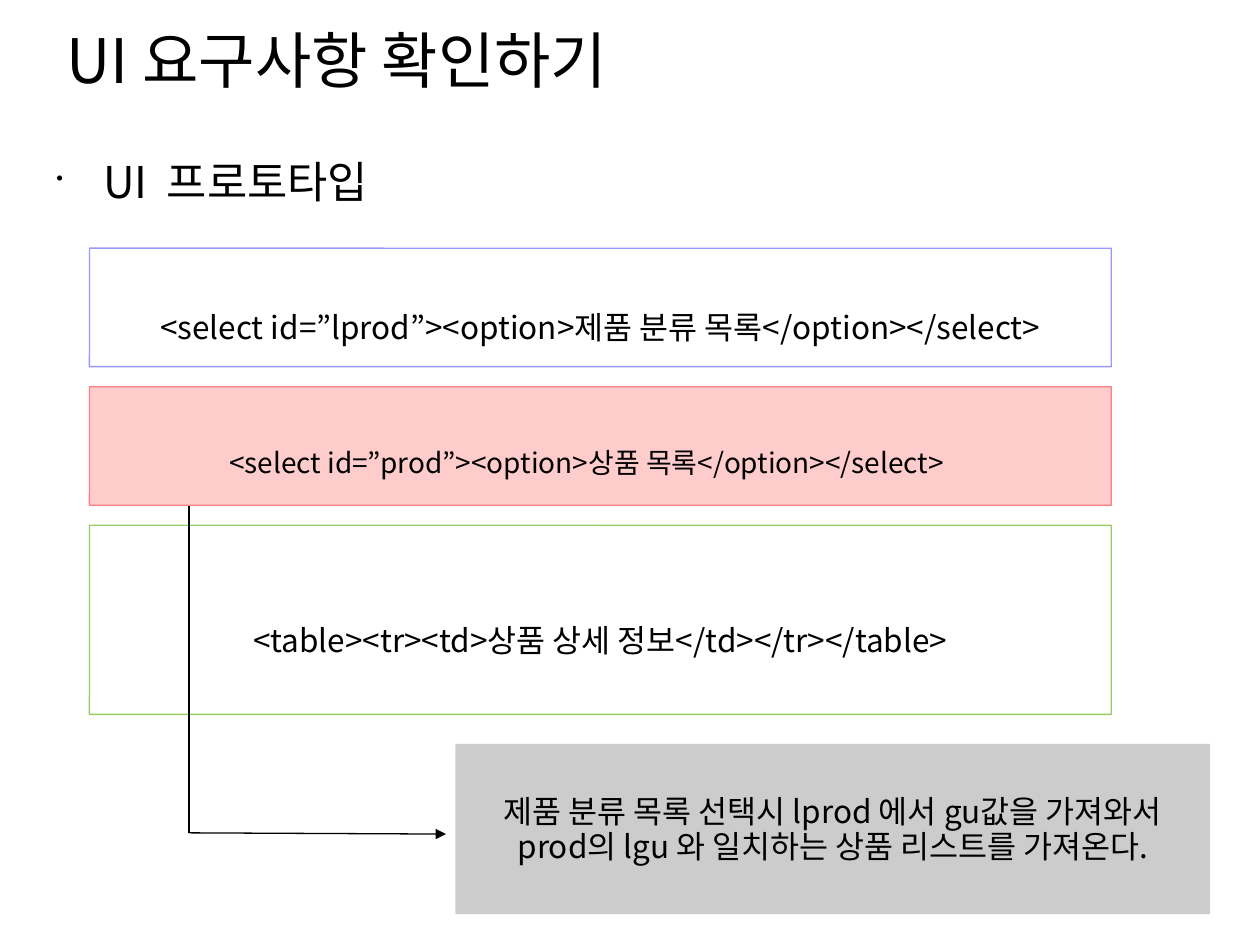
from lxml import etree
from pptx import Presentation
from pptx.dml.color import RGBColor
from pptx.enum.shapes import MSO_CONNECTOR, MSO_SHAPE
from pptx.enum.text import MSO_ANCHOR, PP_ALIGN
from pptx.oxml.ns import qn
from pptx.util import Inches, Pt

FONT = "Noto Sans CJK KR"
ROUNDED = MSO_SHAPE.ROUNDED_RECTANGLE
STRAIGHT = MSO_CONNECTOR.STRAIGHT
LEFT, CENTER = PP_ALIGN.LEFT, PP_ALIGN.CENTER
TOP, MIDDLE = MSO_ANCHOR.TOP, MSO_ANCHOR.MIDDLE


def color(value):
    return RGBColor.from_string(value)


def write(shape, text, size=18, align=CENTER, anchor=MIDDLE, top=0.07, spacing=0.92, wrap=True):
    frame = shape.text_frame
    frame.word_wrap = wrap
    frame.vertical_anchor = anchor
    frame.margin_left = frame.margin_right = Inches(0.1)
    frame.margin_top, frame.margin_bottom = Inches(top), Inches(0.05)
    frame.text = text
    for paragraph in frame.paragraphs:
        paragraph.alignment = align
        paragraph.line_spacing = spacing
        for run in paragraph.runs:
            run.font.size = Pt(size)
            run.font.name = FONT
            run.font.color.rgb = color("000000")
            etree.SubElement(run.font._element, qn("a:ea"), typeface=FONT)
    return frame.paragraphs[0]


prs = Presentation()
prs.slide_width, prs.slide_height = Inches(10), Inches(7.5)
slide = prs.slides.add_slide(prs.slide_layouts[6])
shapes = slide.shapes

title = shapes.add_textbox(Inches(0.43), Inches(0.13), Inches(8.38), Inches(0.87))
write(title, "UI 요구사항 확인하기", size=35, align=LEFT, anchor=TOP, top=0.05, spacing=1.0)

topic = shapes.add_textbox(Inches(0.34), Inches(1.18), Inches(9.27), Inches(6.24))
heading = write(topic, "UI  프로토타입", size=25, align=LEFT, anchor=TOP, top=0.05, spacing=1.0)
heading.space_before, heading.space_after = Pt(5), Pt(14.3)
indent = heading._p.get_or_add_pPr()
indent.set("marL", str(Inches(0.38)))
indent.set("indent", str(Inches(-0.37)))
bullet_color = etree.SubElement(indent, qn("a:buClr"))
etree.SubElement(bullet_color, qn("a:srgbClr"), val="000000")
etree.SubElement(indent, qn("a:buSzPct"), val="45000")
etree.SubElement(indent, qn("a:buChar"), char="•")

panels = [
    (0.71, 1.97, 8.11, 0.94, "FFFFFF", "9999FF", 0.4,
     "<select id=”lprod”><option>제품 분류 목록</option></select>"),
    (0.71, 3.07, 8.11, 0.94, "FFCCCC", "FF8080", 0.07, ""),
    (0.71, 4.17, 8.11, 1.5, "FFFFFF", "99CC66", 0.4,
     "<table><tr><td>상품 상세 정보</td></tr></table>"),
    (3.62, 5.91, 5.98, 1.34, "CCCCCC", "CCCCCC", 0.07,
     "제품 분류 목록 선택시 lprod 에서 gu값을 가져와서\nprod의 lgu 와 일치하는 상품 리스트를 가져온다."),
]
for left, top, width, height, fill, border, inset, text in panels:
    panel = shapes.add_shape(ROUNDED, Inches(left), Inches(top), Inches(width), Inches(height))
    panel.adjustments[0] = 0.002
    panel.shadow.inherit = False
    panel.fill.solid()
    panel.fill.fore_color.rgb = color(fill)
    panel.line.color.rgb = color(border)
    panel.line.width = Pt(0.74)
    if text:
        write(panel, text, top=inset)

product_select = shapes.add_textbox(Inches(1.61), Inches(3.23), Inches(6.09), Inches(0.6))
write(product_select, "<select id=”prod”><option>상품 목록</option></select>",
      size=16, anchor=TOP, top=0.33, wrap=False)

for x1, y1, x2, y2, arrow in [(1.5, 4.02, 1.5, 6.61, False), (1.5, 6.61, 3.54, 6.62, True)]:
    link = shapes.add_connector(STRAIGHT, Inches(x1), Inches(y1), Inches(x2), Inches(y2))
    link.line.color.rgb = color("000000")
    link.line.width = Pt(0.74)
    if arrow:
        etree.SubElement(link.line._get_or_add_ln(), qn("a:tailEnd"), type="triangle")
    etree.SubElement(link._element.spPr, qn("a:effectLst"))

prs.save("out.pptx")
